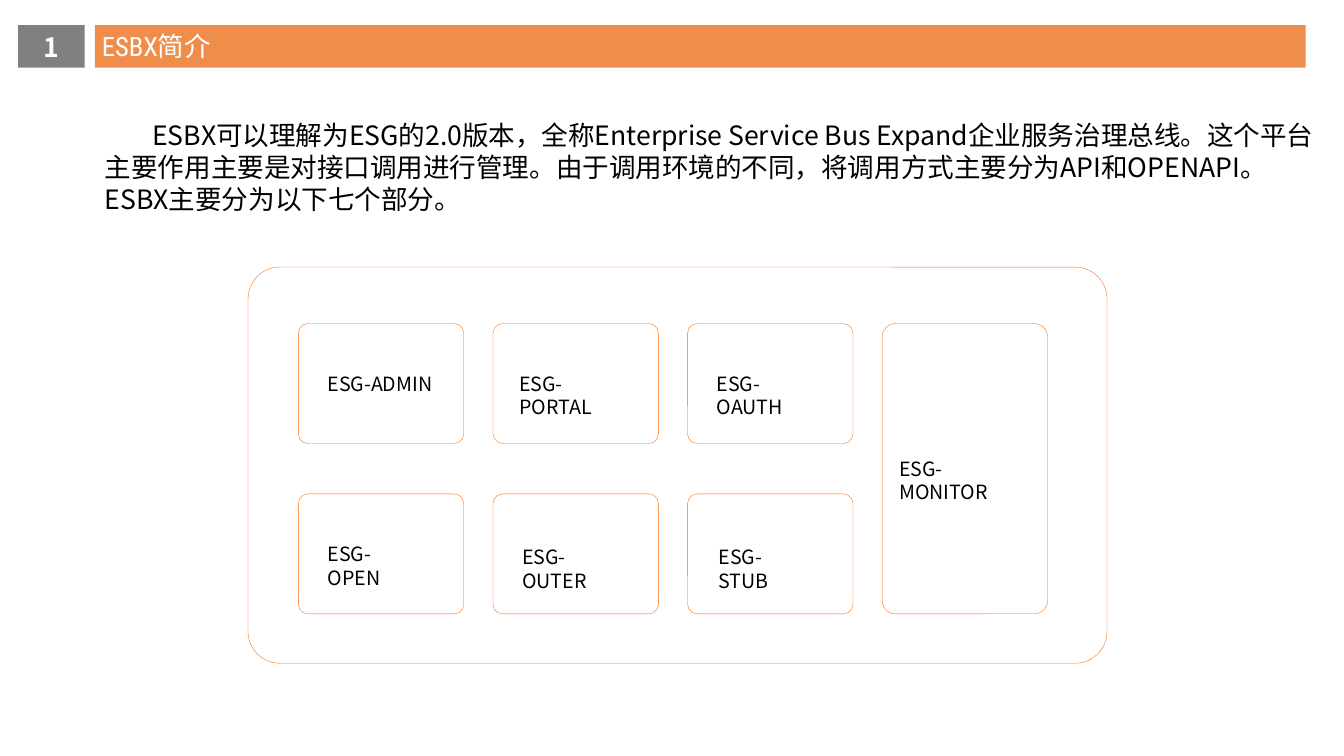
import dataclasses

import pptx
import pptx.dml.color
import pptx.enum.shapes
import pptx.enum.text
import pptx.oxml.ns
import pptx.util

ANCHOR = pptx.enum.text.MSO_ANCHOR
ALIGN = pptx.enum.text.PP_ALIGN
SHAPES = pptx.enum.shapes.MSO_SHAPE
EMU_PER_PX = 9144


@dataclasses.dataclass(frozen=True)
class Theme:
    orange: str = "EF8D4B"
    grey: str = "808080"
    outline: str = "FF6600"
    white: str = "FFFFFF"
    black: str = "000000"
    font: str = "Noto Sans CJK SC"
    title_font: str = "Roboto Condensed"
    large: int = 19
    small: int = 14
    hairline: float = 0.25
    rounding: float = 0.08


@dataclasses.dataclass(frozen=True)
class Area:
    left: int
    top: int
    width: int
    height: int


@dataclasses.dataclass(frozen=True)
class Module:
    name: str
    column: int
    row: int
    label: Area
    rows: int = 1


THEME = Theme()
GRID = Area(296, 321, 164, 119)
COLUMN_STEP, ROW_STEP = 193, 169
FRAME = Area(246, 265, 852, 393)
HEADER_INSETS = {"margin_left": 7, "margin_right": 7, "margin_top": 4, "margin_bottom": 4}
INTRO = (
    "ESBX可以理解为ESG的2.0版本，全称Enterprise Service Bus Expand企业服务治理总线。"
    "这个平台主要作用主要是对接口调用进行管理。由于调用环境的不同，"
    "将调用方式主要分为API和OPENAPI。ESBX主要分为以下七个部分。"
)
MODULES = [
    Module("ESG-ADMIN", 0, 0, Area(315, 364, 126, 34)),
    Module("ESG-PORTAL", 1, 0, Area(505, 364, 132, 34)),
    Module("ESG-OAUTH", 2, 0, Area(701, 364, 128, 34)),
    Module("ESG-OPEN", 0, 1, Area(315, 533, 113, 34)),
    Module("ESG-OUTER", 1, 1, Area(508, 536, 123, 34)),
    Module("ESG-STUB", 2, 1, Area(703, 536, 108, 34)),
    Module("ESG-MONITOR", 3, 0, Area(882, 448, 150, 34), rows=2),
]


def px(value: int) -> pptx.util.Emu:
    return pptx.util.Emu(value * EMU_PER_PX)


def rgb(value: str) -> pptx.dml.color.RGBColor:
    return pptx.dml.color.RGBColor.from_string(value)


def apply(target: object, values: dict) -> None:
    for name, value in values.items():
        setattr(target, name, value)


def bounds(area: Area) -> dict:
    return {name: px(value) for name, value in dataclasses.asdict(area).items()}


def paint(shape: object, color: str) -> None:
    shape.fill.solid()
    shape.fill.fore_color.rgb = rgb(color)
    shape.line.fill.background()


def write(shape: object, text: str, size: int, color: str, font: str = THEME.font,
          bold: bool = False, align: ALIGN = ALIGN.LEFT, anchor: ANCHOR = ANCHOR.TOP,
          insets: dict | None = None) -> object:
    frame = shape.text_frame
    apply(frame, {"word_wrap": True, "auto_size": pptx.enum.text.MSO_AUTO_SIZE.NONE,
                  "vertical_anchor": anchor})
    apply(frame, {name: px(value) for name, value in (insets or {}).items()})
    para = frame.paragraphs[0]
    apply(para, {"alignment": align, "space_before": pptx.util.Pt(0)})
    span = para.add_run()
    span.text = text
    apply(span.font, {"name": font, "size": pptx.util.Pt(size), "bold": bold})
    span.font.color.rgb = rgb(color)
    east_asian = span.font._element.makeelement(
        pptx.oxml.ns.qn("a:ea"), {"typeface": THEME.font})
    span.font._element.find(pptx.oxml.ns.qn("a:latin")).addnext(east_asian)
    return para


def add_box(page: object, kind: SHAPES, area: Area) -> object:
    box = page.shapes.add_shape(kind, **bounds(area))
    box.shadow.inherit = False
    return box


def add_outline(page: object, area: Area) -> None:
    box = add_box(page, SHAPES.ROUNDED_RECTANGLE, area)
    box.adjustments[0] = THEME.rounding
    box.fill.background()
    box.line.color.rgb = rgb(THEME.outline)
    box.line.width = pptx.util.Pt(THEME.hairline)


def add_header(page: object) -> None:
    title = page.shapes.title
    apply(title, bounds(Area(94, 25, 1201, 42)))
    paint(title, THEME.orange)
    write(title, "ESBX简介", THEME.large, THEME.white, THEME.title_font,
          anchor=ANCHOR.MIDDLE, insets=HEADER_INSETS)
    number = add_box(page, SHAPES.RECTANGLE, Area(18, 25, 66, 42))
    paint(number, THEME.grey)
    write(number, "1", THEME.large, THEME.white, bold=True, align=ALIGN.CENTER,
          anchor=ANCHOR.MIDDLE, insets=HEADER_INSETS)


def add_intro(page: object) -> None:
    body = page.placeholders[1]
    apply(body, bounds(Area(94, 113, 1219, 106)))
    para = write(body, INTRO, THEME.large, THEME.black)
    properties = para._p.get_or_add_pPr()
    properties.set("marL", "0")
    properties.set("indent", str(px(47)))
    properties.append(properties.makeelement(pptx.oxml.ns.qn("a:buNone"), {}))


def add_module(page: object, module: Module) -> None:
    add_outline(page, Area(
        GRID.left + module.column * COLUMN_STEP,
        GRID.top + module.row * ROW_STEP,
        GRID.width,
        GRID.height + (module.rows - 1) * ROW_STEP,
    ))
    label = page.shapes.add_textbox(**bounds(module.label))
    write(label, module.name, THEME.small, THEME.black)


def main() -> None:
    deck = pptx.Presentation()
    apply(deck, {"slide_width": px(1333), "slide_height": px(750)})
    page = deck.slides.add_slide(deck.slide_layouts[1])
    add_header(page)
    add_intro(page)
    add_outline(page, FRAME)
    for module in MODULES:
        add_module(page, module)
    deck.save("out.pptx")


if __name__ == "__main__":
    main()
